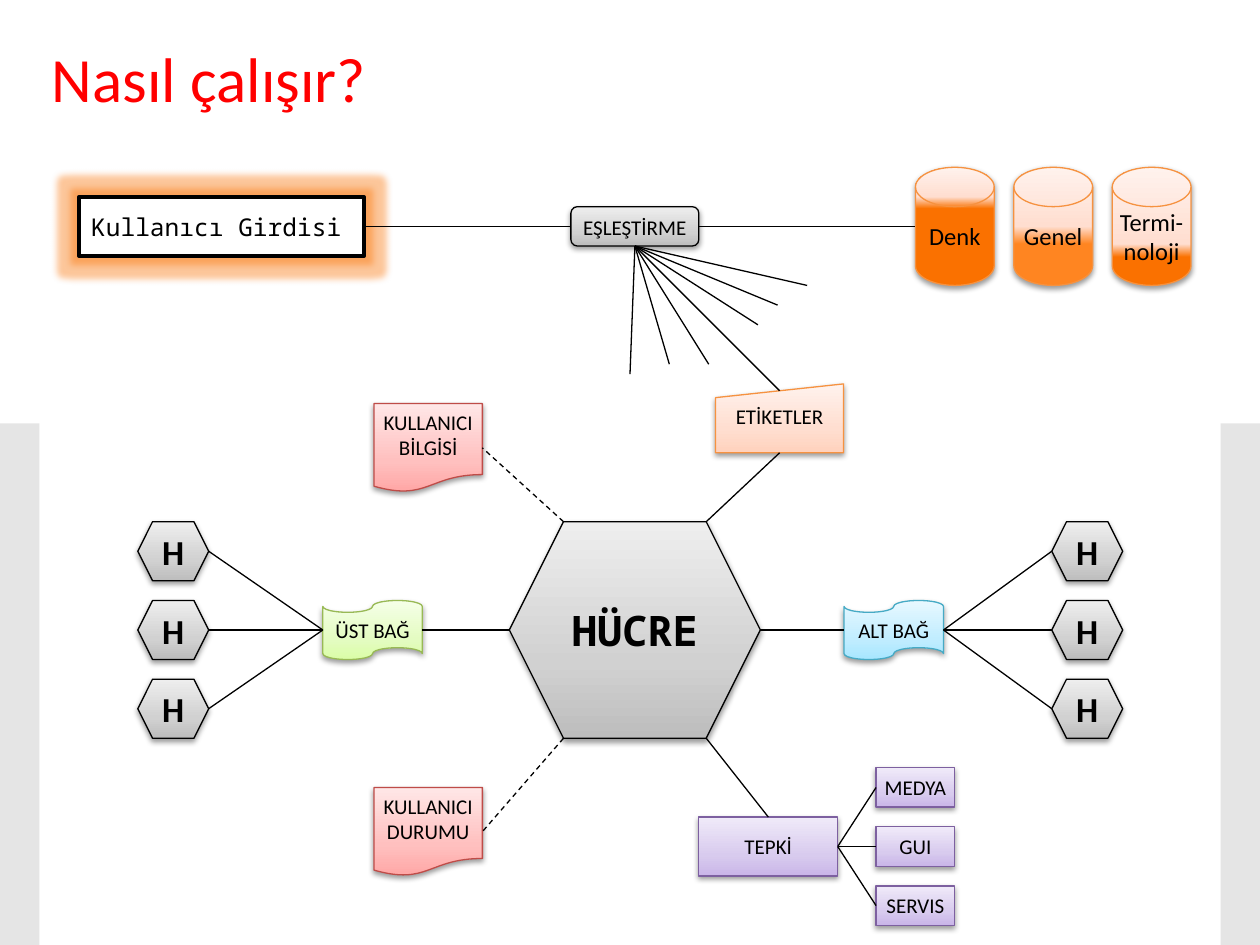
from collections import namedtuple
from copy import deepcopy

from lxml import etree
from pptx import Presentation
from pptx import util as u
from pptx.dml.color import RGBColor
from pptx.enum import dml, shapes, text
from pptx.oxml.ns import qn

COLUMNS, ROWS = 128, 96
CELL = u.Inches(10) / COLUMNS
KIND = shapes.MSO_SHAPE
BODY, MONO = "Calibri", "Noto Sans Mono"

BLACK = RGBColor(0, 0, 0)
WHITE = RGBColor(255, 255, 255)
RED = RGBColor(255, 0, 0)
SIDE_GRAY = RGBColor(0xE5, 0xE5, 0xE5)
ORANGE_EDGE = RGBColor(0xF6, 0x92, 0x40)
ORANGE_DEEP = RGBColor(0xFA, 0x71, 0x00)
ORANGE = RGBColor(0xFF, 0x85, 0x21)
PEACH = RGBColor(0xFF, 0xD2, 0xBD)
PEACH_MID = RGBColor(0xFF, 0xDE, 0xD0)
PEACH_PALE = RGBColor(0xFF, 0xF2, 0xED)

Style = namedtuple("Style", "edge colors stops", defaults=[(0, 35, 100)])
GRAY = Style(BLACK, (RGBColor(0xBD, 0xBD, 0xBD), RGBColor(0xD1, 0xD1, 0xD1),
                     RGBColor(0xEE, 0xEE, 0xEE)))
PURPLE = Style(RGBColor(0x7D, 0x60, 0xA0),
               (RGBColor(0xC9, 0xB5, 0xE8), RGBColor(0xD8, 0xCB, 0xEE),
                RGBColor(0xF0, 0xEA, 0xF9)))
PINK = Style(RGBColor(0xBF, 0x4C, 0x48),
             (RGBColor(0xFF, 0xA6, 0xA5), RGBColor(0xFF, 0xC0, 0xBF),
              RGBColor(0xFF, 0xE7, 0xE7)))
BLUE = Style(RGBColor(0x46, 0xAA, 0xC5),
             (RGBColor(0xA7, 0xE6, 0xFF), RGBColor(0xC1, 0xED, 0xFF),
              RGBColor(0xE7, 0xF8, 0xFF)))
GREEN = Style(RGBColor(0x98, 0xB9, 0x55),
              (RGBColor(0xDA, 0xFD, 0xA7), RGBColor(0xE4, 0xFC, 0xC2),
               RGBColor(0xF5, 0xFF, 0xE7)))
ORANGE_LABEL = Style(ORANGE_EDGE, (PEACH, PEACH_MID, PEACH_PALE))


class Box(namedtuple("Box", "left top width height")):
    """A rectangle in grid cells."""

    def inner(self, left, top, width, height):
        return Box(self.left + left, self.top + top, width, height)

    def at(self, x, y):
        """The point at the given shares of width and height."""
        return self.left + x * self.width, self.top + y * self.height

    def emu(self):
        return [round(n * CELL) for n in self]


def put_text(shape, content, size=12, font=BODY, color=BLACK, bold=False,
             align=text.PP_ALIGN.CENTER, anchor=text.MSO_ANCHOR.MIDDLE, wrap=False):
    frame = shape.text_frame
    frame.text = content
    frame.word_wrap = wrap
    frame.auto_size = text.MSO_AUTO_SIZE.NONE
    frame.vertical_anchor = anchor
    for paragraph in frame.paragraphs:
        paragraph.alignment = align
        paragraph.font.size = u.Pt(size)
        paragraph.font.name = font
        paragraph.font.bold = bold
        paragraph.font.color.rgb = color


def add_effect(shape, kind, color, alpha, **settings):
    effects = shape._element.spPr.find(qn("a:effectLst"))
    effect = etree.SubElement(effects, qn(f"a:{kind}"),
                              {name: str(value) for name, value in settings.items()})
    tint = etree.SubElement(effect, qn("a:srgbClr"), val=str(color))
    etree.SubElement(tint, qn("a:alpha"), val=str(alpha * 1000))


def add_plain(slide, kind, box, fill, edge=None, weight=0.75):
    shape = slide.shapes.add_shape(kind, *box.emu())
    shape.shadow.inherit = False
    shape.fill.solid()
    shape.fill.fore_color.rgb = fill
    if edge is None:
        shape.line.fill.background()
    else:
        shape.line.color.rgb = edge
        shape.line.width = u.Pt(weight)
    return shape


def add_node(slide, kind, box, style, label, **text_format):
    """Labelled shape with an upward gradient and a soft shadow."""
    shape = add_plain(slide, kind, box, WHITE, style.edge)
    shape.fill.gradient()
    shape.fill.gradient_angle = 90
    stop_list = shape._element.spPr.find(".//" + qn("a:gsLst"))
    stop_list.append(deepcopy(stop_list[0]))
    for stop, color, position in zip(shape.fill.gradient_stops, style.colors, style.stops):
        stop.color.rgb = color
        stop.position = position / 100
    add_effect(shape, "outerShdw", BLACK, 38, blurRad=40000, dist=20000,
               dir=5400000, rotWithShape=0)
    put_text(shape, label, **text_format)
    return box


def link(slide, start, end, dashed=False):
    ends = [round(n * CELL) for n in (*start, *end)]
    line = slide.shapes.add_connector(shapes.MSO_CONNECTOR.STRAIGHT, *ends)
    line.line.color.rgb = BLACK
    line.line.width = u.Pt(0.75)
    if dashed:
        line.line.dash_style = dml.MSO_LINE.DASH
    etree.SubElement(line._element.spPr, qn("a:effectLst"))


def side_bars(slide, box):
    for left in (0, box.width - 4):
        add_plain(slide, KIND.RECTANGLE, box.inner(left, 0, 4, box.height), SIDE_GRAY)


def heading(slide, box):
    title = slide.shapes.title
    title.left, title.top, title.width, title.height = box.emu()
    put_text(title, "Nasıl çalışır?", size=36, color=RED, wrap=True,
             align=text.PP_ALIGN.LEFT)


def matching_row(slide, box):
    """User input, matcher and dictionaries; returns the matcher's lower point."""
    entry = box.inner(0, 3, 29, 6)
    field = add_plain(slide, KIND.RECTANGLE, entry, WHITE, BLACK, 2)
    add_effect(field, "glow", ORANGE_DEEP, 40, rad=101600)
    put_text(field, "Kullanıcı Girdisi", size=14, font=MONO, wrap=True,
             align=text.PP_ALIGN.LEFT)
    matcher = add_node(slide, KIND.FLOWCHART_ALTERNATE_PROCESS, box.inner(50, 4, 13, 4),
                       GRAY, "EŞLEŞTİRME", anchor=text.MSO_ANCHOR.TOP)
    dictionaries = (("Denk", ORANGE_DEEP, (65, 75, 100)),
                    ("Genel", ORANGE, (35, 50, 100)),
                    ("Termi-\nnoloji", ORANGE_DEEP, (24, 35, 100)))
    for i, (label, color, stops) in enumerate(dictionaries):
        add_node(slide, KIND.FLOWCHART_MAGNETIC_DISK, box.inner(85 + 10 * i, 0, 8, 12),
                 Style(ORANGE_EDGE, (color, PEACH_MID, PEACH_PALE), stops), label, size=14)
    link(slide, entry.at(1, 0.5), matcher.at(0, 0.5))
    link(slide, matcher.at(1, 0.5), box.at(85 / box.width, 0.5))
    return matcher.at(0.5, 1)


def tags(slide, box, source, corner):
    """Label box fed by one ray of the matcher's fan."""
    add_node(slide, KIND.FLOWCHART_MANUAL_INPUT, box, ORANGE_LABEL, "ETİKETLER",
             anchor=text.MSO_ANCHOR.TOP)
    for across, down in ((-0.5, 13), (3.5, 12), (7.5, 12), (12.5, 8), (14.5, 6), (17.5, 4)):
        link(slide, source, (source[0] + across, source[1] + down))
    link(slide, source, box.at(0.5, 0.1))
    link(slide, box.at(0.5, 1), corner)


def user_note(slide, box, label, corner):
    add_node(slide, KIND.FLOWCHART_DOCUMENT, box, PINK, label, anchor=text.MSO_ANCHOR.TOP)
    link(slide, corner, box.at(1, 0.5), dashed=True)


def bond(slide, box, label, style, cell_side, mirrored=False):
    """Three cells joined to a tape, which joins the central cell."""
    near, far = (0, 1) if mirrored else (1, 0)
    tape_width, cell_width = 10.1, 7.2
    tape = box.inner(near * (box.width - tape_width), 8, tape_width, 6)
    add_node(slide, KIND.FLOWCHART_PUNCHED_TAPE, tape, style, label)
    link(slide, cell_side, tape.at(near, 0.5))
    for row in range(3):
        cell = box.inner(far * (box.width - cell_width), 8 * row, cell_width, 6)
        add_node(slide, KIND.HEXAGON, cell, GRAY, "H", size=20, bold=True)
        link(slide, cell.at(near, 0.5), tape.at(far, 0.5))


def response(slide, box, corner):
    source = add_node(slide, KIND.RECTANGLE, box.inner(0, 5, 14.1, 6), PURPLE, "TEPKİ")
    link(slide, source.at(0.5, 0), corner)
    for row, label in enumerate(("MEDYA", "GUI", "SERVIS")):
        output = add_node(slide, KIND.RECTANGLE, box.inner(18, 6 * row, 8, 4), PURPLE, label)
        link(slide, output.at(0, 0.5), source.at(1, 0.5))


def main():
    deck = Presentation()
    deck.slide_width, deck.slide_height = u.Inches(10), u.Inches(7.5)
    slide = deck.slides.add_slide(deck.slide_layouts[5])
    side_bars(slide, Box(0, 43, COLUMNS, ROWS - 43))
    heading(slide, Box(4, 3.8, 89, 8.2))
    source = matching_row(slide, Box(8, 17, 113, 12))

    core = add_node(slide, KIND.HEXAGON, Box(51.75, 53, 25.5, 22), GRAY, "HÜCRE",
                    size=24, font=MONO, bold=True, wrap=True)
    inset = 0.25 * core.height / core.width
    tags(slide, Box(72.7, 39, 13, 7), source, core.at(1 - inset, 0))
    user_note(slide, Box(38, 41, 11, 9), "KULLANICI\nBİLGİSİ", core.at(inset, 0))
    user_note(slide, Box(38, 80, 11, 9), "KULLANICI\nDURUMU", core.at(inset, 1))
    bond(slide, Box(14, 53, 28.9, 22), "ÜST BAĞ", GREEN, core.at(0, 0.5))
    bond(slide, Box(85.75, 53, 28.3, 22), "ALT BAĞ", BLUE, core.at(1, 0.5), mirrored=True)
    response(slide, Box(71, 78, 26, 16), core.at(1 - inset, 1))
    deck.save("out.pptx")


if __name__ == "__main__":
    main()
